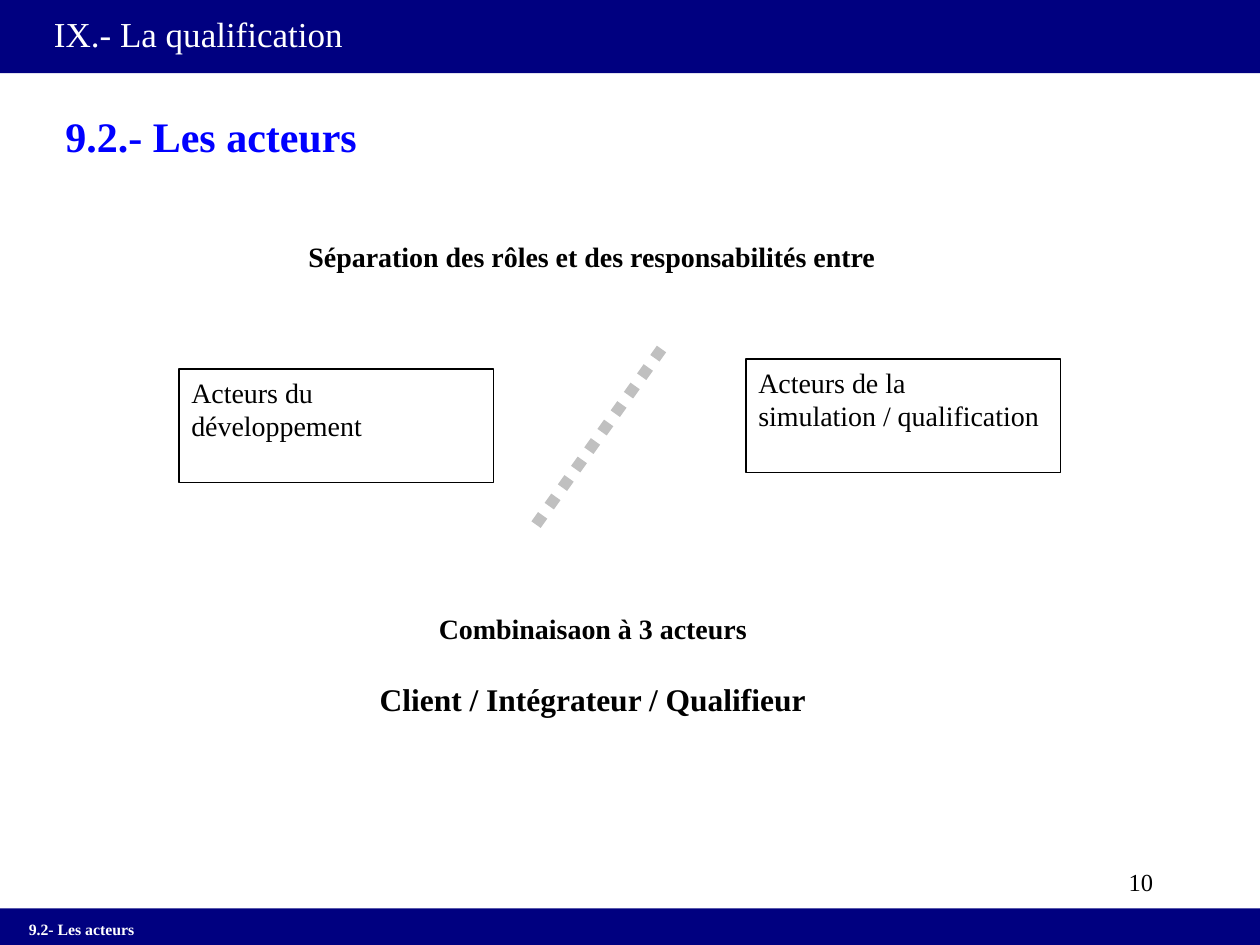
import pptx
import pptx.dml.color
import pptx.enum.dml
import pptx.enum.shapes
import pptx.enum.text
import pptx.oxml.ns
import pptx.util
from collections import namedtuple
from dataclasses import dataclass

Inches = pptx.util.Inches
Pt = pptx.util.Pt
Align = pptx.enum.text.PP_ALIGN
Anchor = pptx.enum.text.MSO_ANCHOR
Area = namedtuple("Area", "left top width height")


@dataclass(frozen=True)
class Theme:
    font: str = "Times New Roman"
    navy: str = "000080"
    blue: str = "0000FF"
    black: str = "000000"
    white: str = "FFFFFF"
    grey: str = "C0C0C0"
    chapter: int = 20
    title: int = 24
    body: int = 16
    emphasis: int = 18
    number: int = 14
    footer: int = 9


THEME = Theme()


def area(left, top, width, height):
    return Area(Inches(left), Inches(top), Inches(width), Inches(height))


def color(value):
    return pptx.dml.color.RGBColor.from_string(value)


def add_line(para, text, size, tint=THEME.black, bold=False, align=Align.LEFT):
    para.alignment = align
    span = para.add_run()
    span.text = text
    span.font.name = THEME.font
    span.font.size = Pt(size)
    span.font.bold = bold
    span.font.color.rgb = color(tint)


def add_label(page, place, text, size, **style):
    box = page.shapes.add_textbox(*place)
    box.text_frame.word_wrap = True
    add_line(box.text_frame.paragraphs[0], text, size, **style)


def add_rectangle(page, place, fill, outline=None):
    box = page.shapes.add_shape(pptx.enum.shapes.MSO_SHAPE.RECTANGLE, *place)
    box.shadow.inherit = False
    box.fill.solid()
    box.fill.fore_color.rgb = color(fill)
    if outline:
        box.line.color.rgb = color(outline)
        box.line.width = Pt(0.75)
    else:
        box.line.fill.background()
    return box


def add_band(page, place, text_place, text, size, bold=False):
    add_rectangle(page, place, THEME.navy)
    add_label(page, text_place, text, size, tint=THEME.white, bold=bold)


def add_actor(page, place, lines):
    box = add_rectangle(page, place, THEME.white, THEME.black)
    frame = box.text_frame
    frame.word_wrap = True
    frame.vertical_anchor = Anchor.TOP
    for index, text in enumerate(lines):
        para = frame.add_paragraph() if index else frame.paragraphs[0]
        add_line(para, text, THEME.body)


def add_separator(page, place):
    line = page.shapes.add_connector(
        pptx.enum.shapes.MSO_CONNECTOR.STRAIGHT,
        place.left + place.width, place.top,
        place.left, place.top + place.height,
    )
    line.line.color.rgb = color(THEME.grey)
    line.line.width = Pt(6.5)
    line.line.dash_style = pptx.enum.dml.MSO_LINE.ROUND_DOT
    properties = line._element.spPr
    properties.append(properties.makeelement(pptx.oxml.ns.qn("a:effectLst"), {}))


def add_conclusion(page, place):
    box = page.shapes.add_textbox(*place)
    frame = box.text_frame
    frame.word_wrap = True
    frame.vertical_anchor = Anchor.BOTTOM
    add_line(frame.paragraphs[0], "Combinaisaon à 3 acteurs", THEME.body,
             bold=True, align=Align.CENTER)
    para = frame.add_paragraph()
    para.space_before = Pt(20)
    add_line(para, "Client / Intégrateur / Qualifieur", THEME.emphasis,
             bold=True, align=Align.CENTER)


def main():
    deck = pptx.Presentation()
    deck.slide_width = Inches(10)
    deck.slide_height = Inches(7.5)
    page = deck.slides.add_slide(deck.slide_layouts[6])

    add_band(page, area(0, 0, 10, 0.58), area(0.33, 0.05, 2.6, 0.44),
             "IX.- La qualification", THEME.chapter)
    add_band(page, area(0, 7.21, 10, 0.29), area(0.13, 7.25, 1.15, 0.25),
             "9.2- Les acteurs", THEME.footer, bold=True)
    add_label(page, area(0.42, 0.83, 3.95, 0.5), "9.2.- Les acteurs",
              THEME.title, tint=THEME.blue, bold=True)
    add_label(page, area(2.35, 1.85, 4.8, 0.37),
              "Séparation des rôles et des responsabilités entre",
              THEME.body, bold=True)
    add_actor(page, area(1.42, 2.93, 2.5, 0.9), ["Acteurs du développement"])
    add_actor(page, area(5.92, 2.85, 2.5, 0.9),
              ["Acteurs de la", "simulation / qualification"])
    add_separator(page, area(4.25, 2.77, 1, 1.4))
    add_conclusion(page, area(0.83, 4.41, 7.75, 1.34))
    add_label(page, area(7.17, 6.83, 2.08, 0.5), "10", THEME.number,
              align=Align.RIGHT)
    deck.save("out.pptx")


if __name__ == "__main__":
    main()
